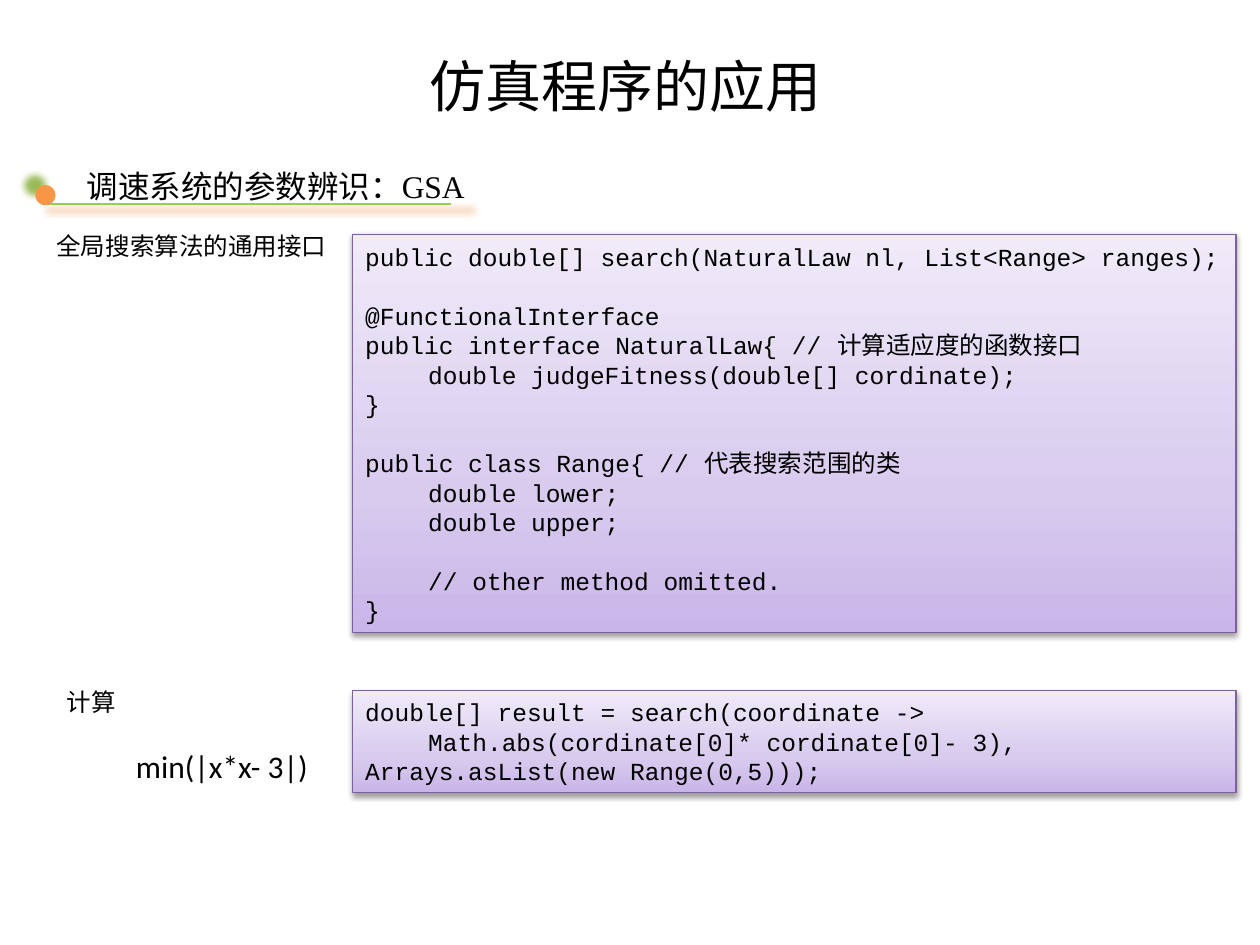
from lxml import etree
from pptx import Presentation
from pptx.dml.color import RGBColor
from pptx.enum import shapes, text
from pptx.oxml import ns
from pptx.util import Pt

BLACK = RGBColor(0x00, 0x00, 0x00)
GREEN = RGBColor(0x92, 0xD0, 0x50)
LEAF = RGBColor(0x9B, 0xBB, 0x59)
ORANGE = RGBColor(0xF7, 0x96, 0x46)
RUST = RGBColor(0xE4, 0x6C, 0x0A)
PURPLE = RGBColor(0x7D, 0x60, 0xA0)
LILACS = [(0, RGBColor(0xC9, 0xB5, 0xE8)), (35, RGBColor(0xD8, 0xCB, 0xEE)),
          (100, RGBColor(0xF0, 0xEA, 0xF9))]
CJK = "Noto Sans CJK SC"

# Content
TITLE = "仿真程序的应用"
HEADING = "调速系统的参数辨识：GSA"
INTERFACE_CODE = """public double[] search(NaturalLaw nl, List<Range> ranges);

@FunctionalInterface
public interface NaturalLaw{ // 计算适应度的函数接口
\tdouble judgeFitness(double[] cordinate);
}

public class Range{ // 代表搜索范围的类
\tdouble lower;
\tdouble upper;

\t// other method omitted.
}"""
CALL_CODE = """double[] result = search(coordinate ->
\tMath.abs(cordinate[0]* cordinate[0]- 3),
Arrays.asList(new Range(0,5)));"""
CODE_LEFT, CODE_WIDTH = 201.6, 504.7
CODE_BOXES = [(INTERFACE_CODE, 133.9, 227.5), (CALL_CODE, 394.6, 58.3)]  # top, height
LABELS = [  # text, left, top, width, height, size, font, wrap
    (HEADING, 42.5, 94.3, 244.1, 28.1, 18, "Times New Roman", True),
    ("全局搜索算法的通用接口", 25.2, 128.2, 169.9, 24.5, 14, CJK, False),
    ("计算", 31, 388.8, 42.5, 24.5, 14, CJK, True),
    ("min(|x*x- 3|)", 70.6, 423.4, 114.5, 28.8, 18, "Calibri", False),
]


def write(frame, lines, size, font, align=text.PP_ALIGN.LEFT):
    frame.text = "\n".join(line or " " for line in lines)
    for para in frame.paragraphs:
        para.alignment = align
        for span in para.runs:
            span.font.size, span.font.name = Pt(size), font
            span.font.color.rgb = BLACK
            latin = span.font._element.find(ns.qn("a:latin"))
            east = etree.Element(ns.qn("a:ea"), typeface=CJK)
            latin.addnext(east)


def add_shadow(shape, color, alpha, blur, distance, angle, **extra):
    effects = etree.SubElement(shape._element.spPr, ns.qn("a:effectLst"))
    outer = etree.SubElement(
        effects, ns.qn("a:outerShdw"), blurRad=str(Pt(blur)), dist=str(Pt(distance)),
        dir=str(angle * 60000), **extra, rotWithShape="0")
    tint = etree.SubElement(outer, ns.qn("a:srgbClr"), val=str(color))
    etree.SubElement(tint, ns.qn("a:alpha"), val=str(alpha * 1000))


def fill_gradient(shape, stops):
    shape.fill.gradient()
    shape.fill.gradient_angle = 90
    stop_list = shape._element.spPr.find(".//" + ns.qn("a:gsLst"))
    for old in list(stop_list):
        stop_list.remove(old)
    for position, color in stops:
        stop = etree.SubElement(stop_list, ns.qn("a:gs"), pos=str(position * 1000))
        etree.SubElement(stop, ns.qn("a:srgbClr"), val=str(color))


deck = Presentation()
deck.slide_width, deck.slide_height = Pt(720), Pt(540)
page = deck.slides.add_slide(deck.slide_layouts[5])

# Title
title = page.shapes.title
title.left, title.top, title.width, title.height = Pt(218.2), Pt(25.9), Pt(278.6), Pt(45.4)
title.text_frame.vertical_anchor = text.MSO_ANCHOR.MIDDLE
write(title.text_frame, [TITLE], 32, CJK, text.PP_ALIGN.CENTER)

# Heading ornament
rule = page.shapes.add_connector(
    shapes.MSO_CONNECTOR.STRAIGHT, Pt(25.2), Pt(116.6), Pt(257.8), Pt(116.6))
rule.line.color.rgb, rule.line.width = GREEN, Pt(1.5)
add_shadow(rule, RUST, 68, 4, 3.4, 90, sx="105000", algn="tl")
dot = page.shapes.add_shape(
    shapes.MSO_SHAPE.OVAL, Pt(20.2), Pt(105.8), Pt(11.5), Pt(11.5))
dot.fill.solid()
dot.fill.fore_color.rgb = ORANGE
dot.line.fill.background()
add_shadow(dot, LEAF, 100, 4, 8, 222)

# Code boxes
for code, top, height in CODE_BOXES:
    box = page.shapes.add_shape(
        shapes.MSO_SHAPE.RECTANGLE, Pt(CODE_LEFT), Pt(top), Pt(CODE_WIDTH), Pt(height))
    fill_gradient(box, LILACS)
    box.line.color.rgb, box.line.width = PURPLE, Pt(0.75)
    add_shadow(box, BLACK, 38, 3.1, 1.6, 90)
    box.text_frame.word_wrap = True
    box.text_frame.vertical_anchor = text.MSO_ANCHOR.MIDDLE
    write(box.text_frame, code.split("\n"), 14, "Courier New")

# Heading and labels
for words, left, top, width, height, size, font, wrap in LABELS:
    label = page.shapes.add_textbox(Pt(left), Pt(top), Pt(width), Pt(height))
    label.text_frame.word_wrap = wrap
    write(label.text_frame, [words], size, font)
    if words == HEADING:
        label.text_frame.paragraphs[0].line_spacing = 0.9

deck.save("out.pptx")
